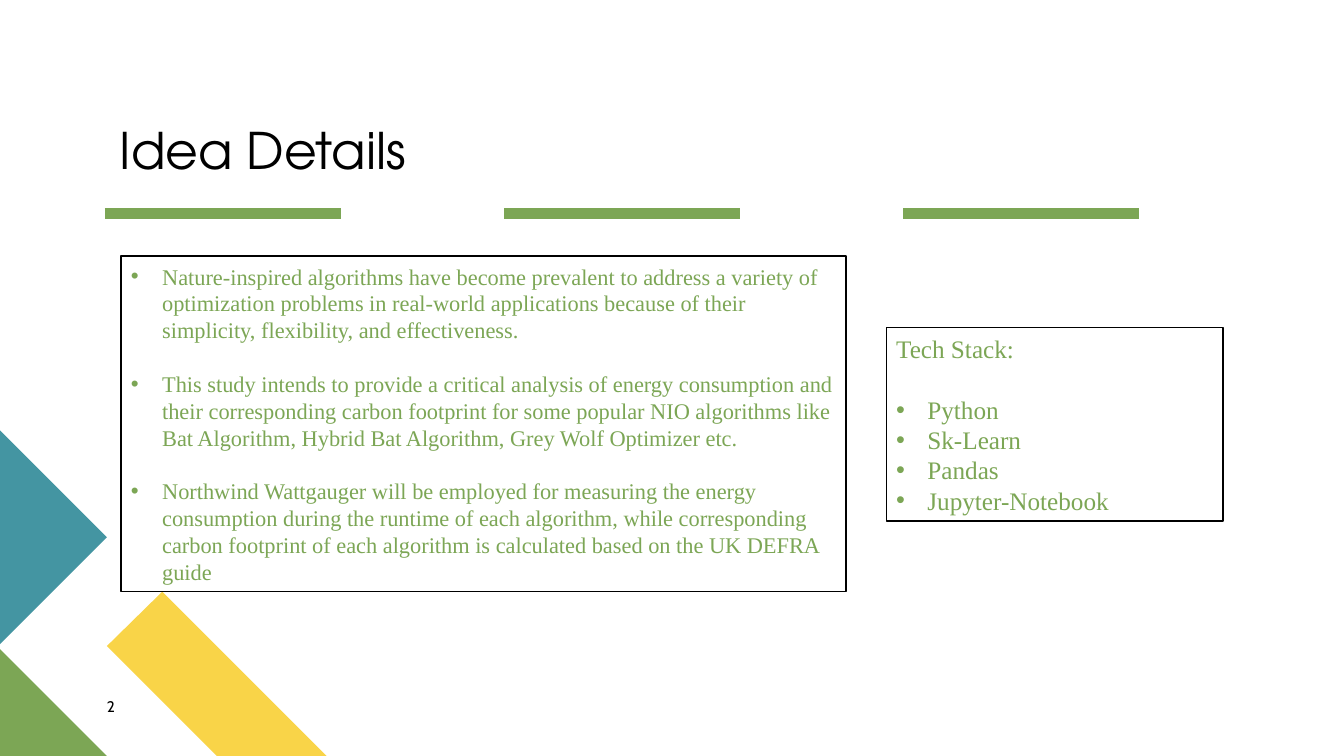
from lxml import etree
from pptx import Presentation
from pptx import util as u
from pptx.dml.color import RGBColor
from pptx.enum import shapes, text
from pptx.oxml.ns import qn

PX = 9144
BLACK = RGBColor(0x00, 0x00, 0x00)
WHITE = RGBColor(0xFF, 0xFF, 0xFF)
GREEN = RGBColor(0x7C, 0xA6, 0x55)
TEAL = RGBColor(0x44, 0x95, 0xA2)
YELLOW = RGBColor(0xF9, 0xD4, 0x48)

CORNER_PIECES = [
    (YELLOW, [(324, 750), (215, 750), (106, 641), (161, 587)]),
    (GREEN, [(106, 750), (0, 750), (0, 644)]),
    (TEAL, [(0, 427), (106, 533), (0, 639)]),
]
IDEAS = [
    "Nature-inspired algorithms have become prevalent to address a variety of "
    "optimization problems in real-world applications because of their "
    "simplicity, flexibility, and effectiveness.",
    "This study intends to provide a critical analysis of energy consumption and "
    "their corresponding carbon footprint for some popular NIO algorithms like "
    "Bat Algorithm, Hybrid Bat Algorithm, Grey Wolf Optimizer etc.",
    "Northwind Wattgauger will be employed for measuring the energy "
    "consumption during the runtime of each algorithm, while corresponding "
    "carbon footprint of each algorithm is calculated based on the UK DEFRA guide",
]
TECH_STACK = ["Python", "Sk-Learn", "Pandas", "Jupyter-Notebook"]


def px(*lengths):
    return [length * PX for length in lengths]


def style(paragraph, size, font, color):
    paragraph.alignment = text.PP_ALIGN.LEFT
    paragraph.font.size = u.Pt(size)
    paragraph.font.name = font
    paragraph.font.color.rgb = color


def add_bullet(paragraph):
    props = paragraph._p.get_or_add_pPr()
    props.set("marL", str(31 * PX))
    props.set("indent", str(-31 * PX))
    etree.SubElement(props, qn("a:buFont")).set("typeface", "Arial")
    etree.SubElement(props, qn("a:buChar")).set("char", "•")


def add_corner_piece(slide, color, points):
    outline = slide.shapes.build_freeform(*points[0], scale=PX)
    outline.add_line_segments(points[1:], close=True)
    piece = outline.convert_to_shape()
    piece.shadow.inherit = False
    piece.fill.solid()
    piece.fill.fore_color.rgb = color
    piece.line.fill.background()


def add_dash(slide, left, top, width):
    dash = slide.shapes.add_connector(
        shapes.MSO_CONNECTOR.STRAIGHT, *px(left, top, left + width, top))
    dash.line.color.rgb = GREEN
    dash.line.width = u.Pt(8)
    etree.SubElement(dash._element.spPr, qn("a:effectLst"))


def add_label(slide, box, words, size, font, margin, wrap):
    label = slide.shapes.add_textbox(*px(*box))
    frame = label.text_frame
    frame.word_wrap = wrap
    if margin == 0:
        frame.margin_left = frame.margin_right = 0
        frame.margin_top = frame.margin_bottom = 0
    frame.text = words
    style(frame.paragraphs[0], size, font, BLACK)


def add_panel(slide, box, size, items, heading=None, spaced=False):
    panel = slide.shapes.add_shape(shapes.MSO_SHAPE.RECTANGLE, *px(*box))
    panel.shadow.inherit = False
    panel.fill.solid()
    panel.fill.fore_color.rgb = WHITE
    panel.line.color.rgb = BLACK
    panel.line.width = u.Pt(1)
    frame = panel.text_frame
    frame.word_wrap = True
    line_height = u.Pt(size * 1.2)
    entries = [heading, *items] if heading else items
    frame.text = "\n".join(entries)
    for index, paragraph in enumerate(frame.paragraphs):
        style(paragraph, size, "Times New Roman", GREEN)
        paragraph.line_spacing = line_height
        if index and (spaced or (heading and index == 1)):
            paragraph.space_before = line_height
        if not (heading and index == 0):
            add_bullet(paragraph)


def main():
    deck = Presentation()
    deck.slide_width, deck.slide_height = px(1333, 750)
    slide = deck.slides.add_slide(deck.slide_layouts[6])
    for color, points in CORNER_PIECES:
        add_corner_piece(slide, color, points)
    for column in range(3):
        add_dash(slide, 104 + 396 * column, 212, 234)
    add_label(slide, (109, 113, 310, 71), "Idea Details", 36,
              "TeX Gyre Adventor", margin=10, wrap=False)
    add_panel(slide, (120, 254, 719, 333), 16, IDEAS, spaced=True)
    add_panel(slide, (879, 325, 334, 192), 18, TECH_STACK, heading="Tech Stack:")
    add_label(slide, (106, 692, 57, 27), "2", 11, "Cabin", margin=0, wrap=True)
    deck.save("out.pptx")


if __name__ == "__main__":
    main()
